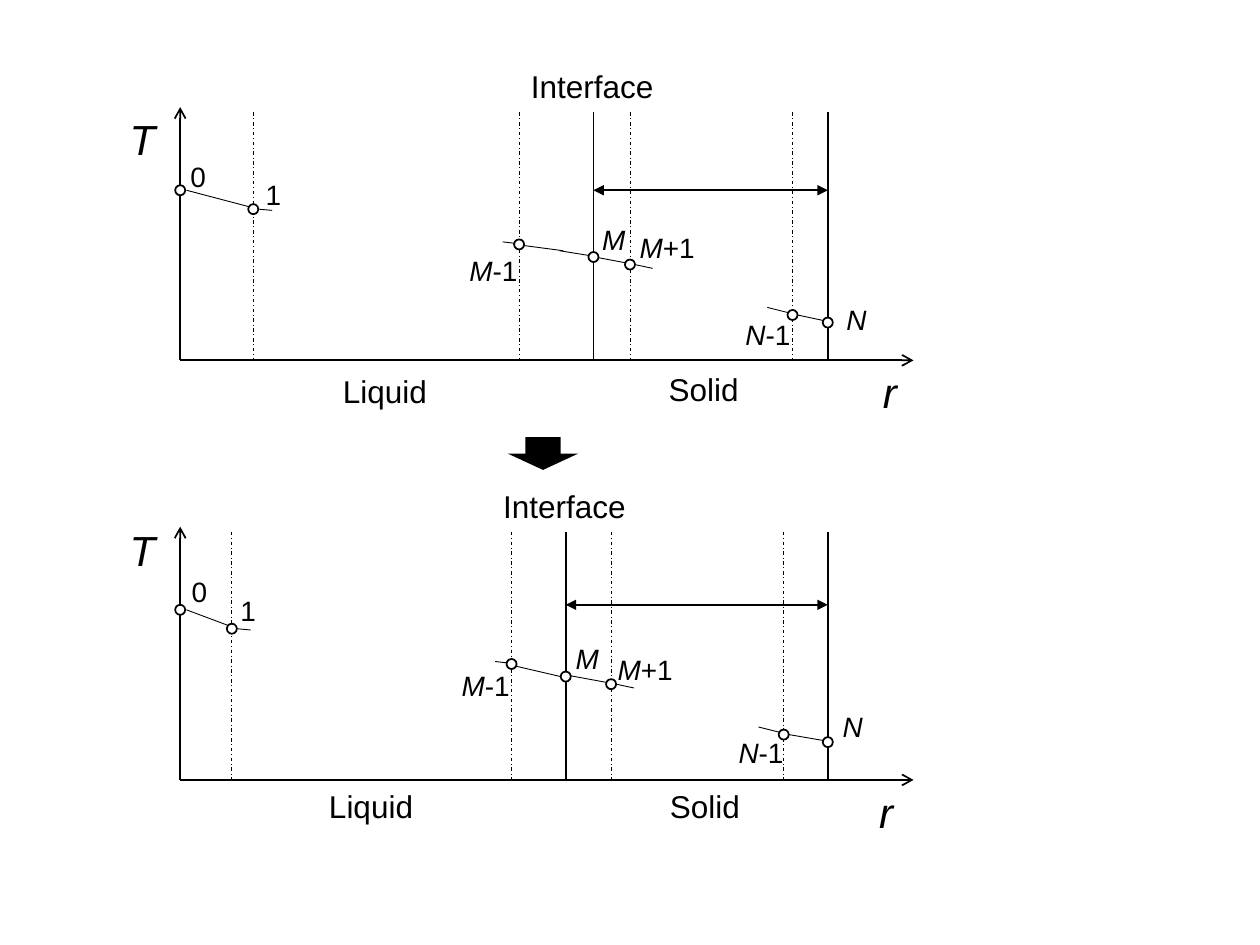
from lxml.etree import SubElement
from pptx import Presentation
from pptx.dml.color import RGBColor
from pptx.enum.dml import MSO_LINE as Dash
from pptx.enum.shapes import MSO_CONNECTOR as Link, MSO_SHAPE as Form
from pptx.enum.text import MSO_AUTO_SIZE as Fit, PP_ALIGN as Align
from pptx.oxml.ns import qn
from pptx.util import Inches, Pt

BLACK = RGBColor(0, 0, 0)
WHITE = RGBColor(255, 255, 255)
HEIGHT = {16: 0.37, 18: 0.4, 24: 0.5}
LEFT, LAST, END = 1.43, 6.57, 7.25
TOP, BASE = 0.89, 2.86


class Pen:
    """Draws black and white diagram parts on one slide."""

    def __init__(self, slide, font="Arial"):
        self.shapes = slide.shapes
        self.font = font

    def line(self, x1, y1, x2, y2, width=0.5, dash=None, head=None, tail=None):
        link = self.shapes.add_connector(
            Link.STRAIGHT, Inches(x1), Inches(y1), Inches(x2), Inches(y2))
        link.line.color.rgb = BLACK
        link.line.width = Pt(width)
        if dash:
            link.line.dash_style = dash
        props = link.line._get_or_add_ln()
        for tag, kind in (("a:headEnd", head), ("a:tailEnd", tail)):
            if kind:
                SubElement(props, qn(tag), type=kind)
        SubElement(link._element.spPr, qn("a:effectLst"))

    def shape(self, form, x, y, w, h, fill):
        item = self.shapes.add_shape(form, Inches(x), Inches(y), Inches(w), Inches(h))
        item.shadow.inherit = False
        item.fill.solid()
        item.fill.fore_color.rgb = fill
        return item

    def dot(self, x, y):
        item = self.shape(Form.FLOWCHART_CONNECTOR, x - 0.04, y - 0.04, 0.08, 0.08, WHITE)
        item.line.color.rgb = BLACK
        item.line.width = Pt(1)

    def arrow(self, x, y, w, h):
        self.shape(Form.DOWN_ARROW, x, y, w, h, BLACK).line.fill.background()

    def label(self, slant, plain, x, y, w, size=16):
        box = self.shapes.add_textbox(Inches(x), Inches(y), Inches(w), Inches(HEIGHT[size]))
        frame = box.text_frame
        frame.word_wrap = True
        frame.auto_size = Fit.SHAPE_TO_FIT_TEXT
        para = frame.paragraphs[0]
        para.alignment = Align.LEFT if size == 24 else Align.CENTER
        para.font.name = self.font
        para.font.size = Pt(size)
        para.font.color.rgb = BLACK
        for text, tilt in ((slant, True), (plain, False)):
            if text:
                run = para.add_run()
                run.text = text
                run.font.italic = tilt


def panel(pen, drop, first, prev, face, after, near, start, slope, span, labels):
    """Draw one temperature profile, moved down by drop."""
    def line(x1, y1, x2, y2, *args, **style):
        pen.line(x1, y1 + drop, x2, y2 + drop, *args, **style)

    line(LEFT, 0.85, LEFT, BASE, 1, head="arrow")
    line(LEFT, BASE, END, BASE, 1, tail="arrow")
    for x in (face, LAST):
        line(x, TOP, x, BASE, 1)
    for x in (first, prev, after, near):
        line(x, TOP, x, BASE, dash=Dash.DASH_DOT)

    curve = [
        (LEFT + 0.05, 1.51, first + 0.04, 1.66),
        (first + 0.04, 1.66, first + 0.15, 1.67),
        (prev - 0.13, 1.92, prev + 0.04, 1.94),
        *slope,
        (start, 2.03, after + 0.04, 2.1),
        (after + 0.04, 2.1, after + 0.18, 2.13),
        (near - 0.2, 2.44, near + 0.04, 2.5),
        (near + 0.04, 2.5, LAST + 0.04, 2.56),
    ]
    for part in curve:
        line(*part)
    line(face, span, LAST, span, 1, head="triangle", tail="triangle")

    nodes = zip((LEFT, first, prev, face, after, near, LAST),
                (1.51, 1.66, 1.94, 2.04, 2.1, 2.5, 2.56))
    for x, y in nodes:
        pen.dot(x, y + drop)
    for label in labels:
        pen.label(*label)


def main():
    deck = Presentation()
    deck.slide_width, deck.slide_height = Inches(10), Inches(7.5)
    pen = Pen(deck.slides.add_slide(deck.slide_layouts[6]))

    panel(pen, 0, 2.01, 4.12, 4.71, 5, 6.29, 4.67,
          [(4.09, 1.94, 4.47, 1.99), (4.44, 1.99, 4.75, 2.04)], 1.51, [
              ("T", "", 0.93, 0.85, 0.37, 24),
              ("r", "", 6.91, 2.86, 0.44, 24),
              ("", "0", 1.43, 1.22, 0.18),
              ("", "1", 2.01, 1.36, 0.22),
              ("M", "-1", 3.57, 1.96, 0.69),
              ("M", "", 4.68, 1.72, 0.3),
              ("M", "+1", 4.94, 1.78, 0.71),
              ("N", "-1", 5.8, 2.47, 0.59),
              ("N", "", 6.62, 2.35, 0.2),
              ("", "Interface", 4.09, 0.48, 1.22, 18),
              ("", "Solid", 5.2, 2.89, 0.77, 18),
              ("", "Liquid", 2.61, 2.9, 0.89, 18),
          ])
    pen.arrow(4.03, 3.47, 0.56, 0.26)
    panel(pen, 3.33, 1.84, 4.06, 4.49, 4.85, 6.22, 4.51,
          [(4.02, 1.94, 4.45, 2.04)], 1.47, [
              ("T", "", 0.93, 4.11, 0.37, 24),
              ("r", "", 6.88, 6.19, 0.44, 24),
              ("", "0", 1.44, 4.51, 0.18),
              ("", "1", 1.81, 4.66, 0.22),
              ("M", "-1", 3.54, 5.26, 0.63),
              ("M", "", 4.47, 5.04, 0.3),
              ("M", "+1", 4.76, 5.13, 0.72),
              ("N", "-1", 5.7, 5.79, 0.68),
              ("N", "", 6.59, 5.58, 0.24),
              ("", "Interface", 3.88, 3.82, 1.2, 18),
              ("", "Solid", 5.21, 6.2, 0.77, 18),
              ("", "Liquid", 2.48, 6.2, 0.93, 18),
          ])
    deck.save("out.pptx")


if __name__ == "__main__":
    main()
